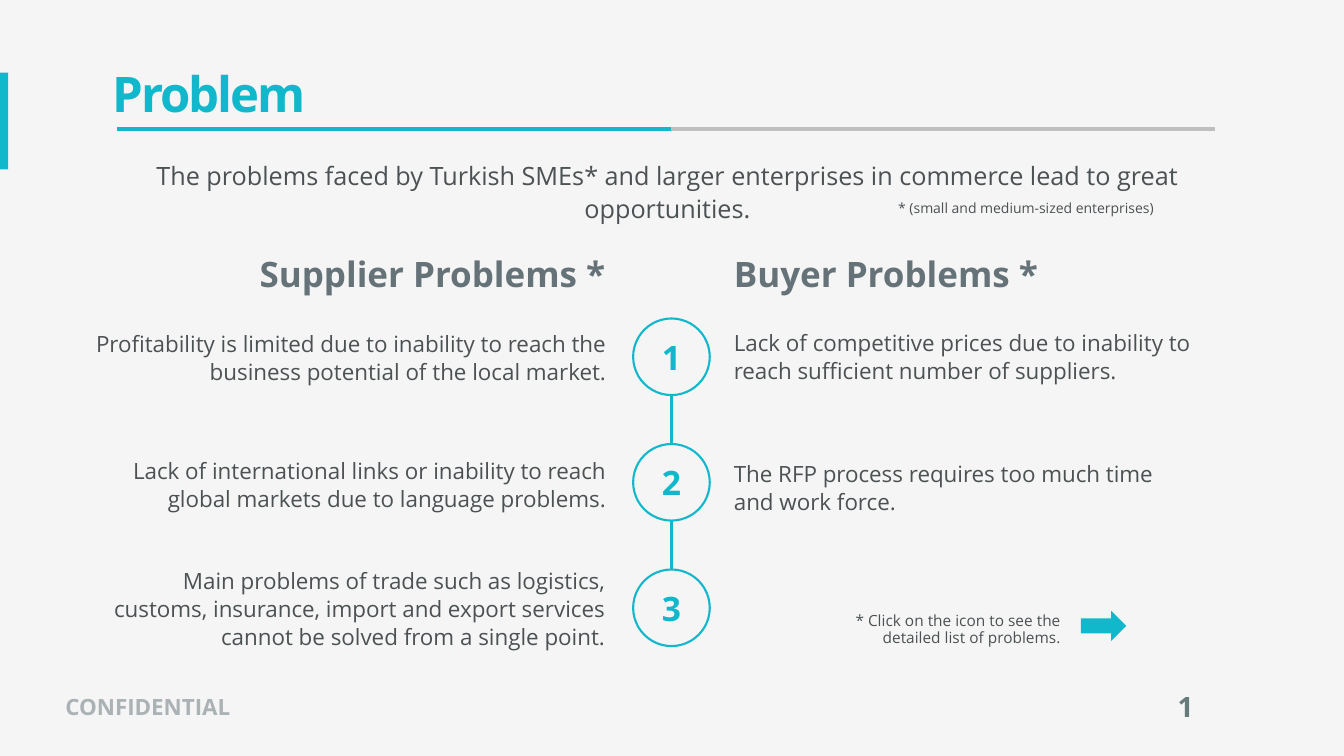
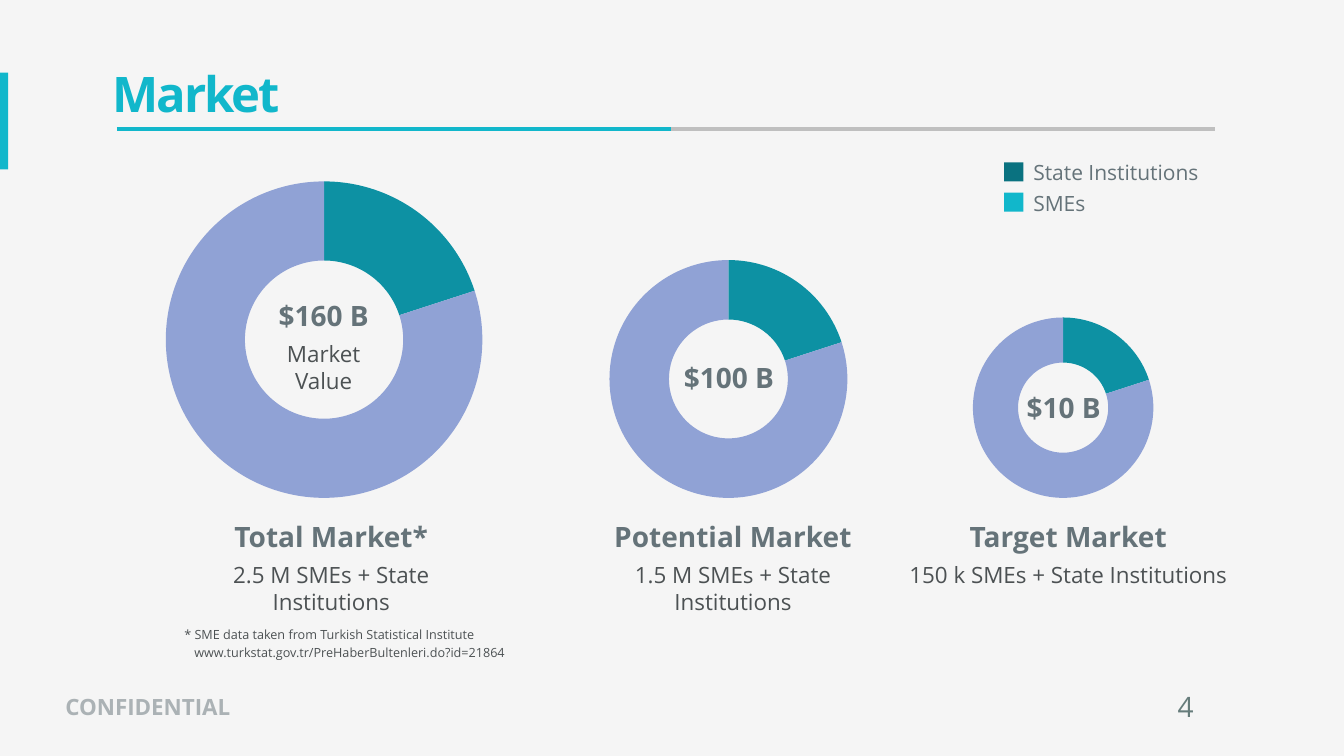
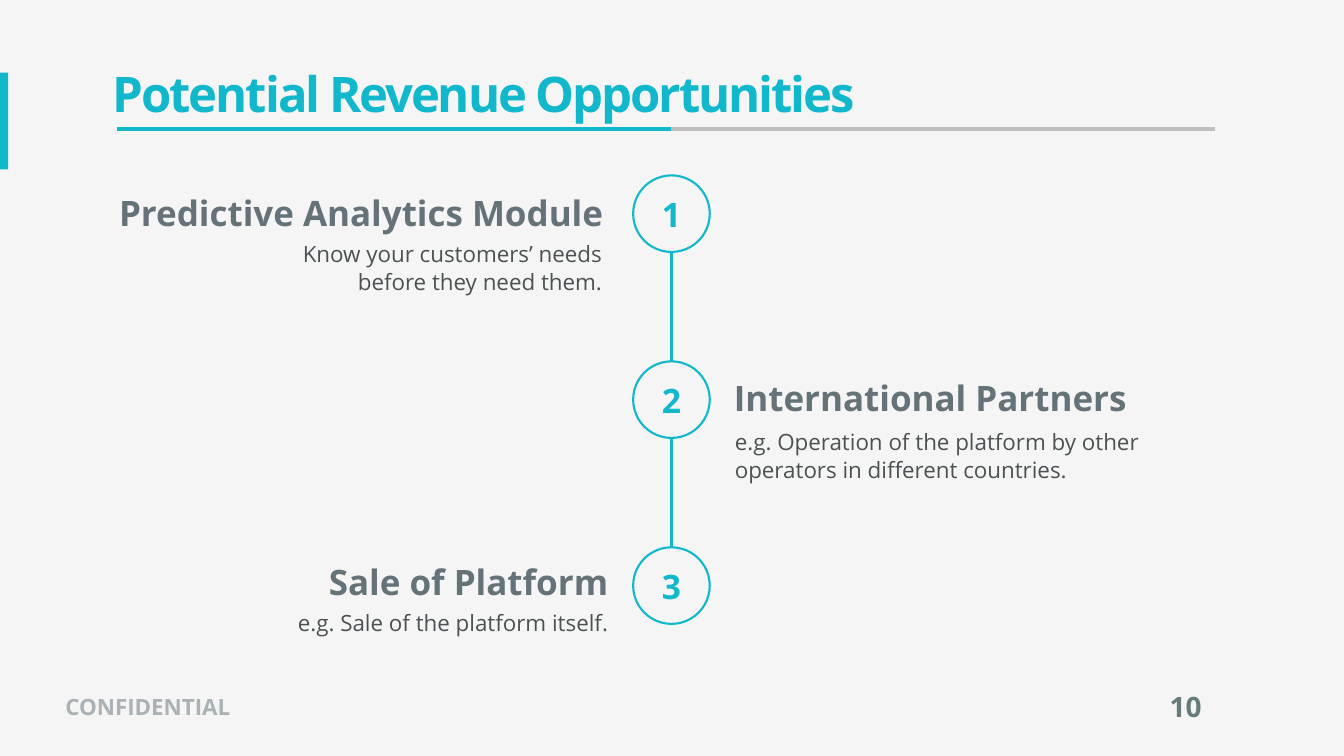
from lxml import etree
from pptx import Presentation
from pptx import util as u
from pptx.chart.data import CategoryChartData
from pptx.dml.color import RGBColor
from pptx.enum import chart as ch, shapes, text
from pptx.oxml import ns

Inches, Pt = u.Inches, u.Pt
FONT = "Open Sans"

PAPER = RGBColor(0xF5, 0xF5, 0xF5)
CYAN = RGBColor(0x11, 0xB7, 0xCB)
DARK_TEAL = RGBColor(0x0A, 0x72, 0x80)
TEAL = RGBColor(0x0D, 0x91, 0xA3)
PERIWINKLE = RGBColor(0x90, 0xA2, 0xD5)
RULE_GREY = RGBColor(0xBF, 0xBF, 0xBF)
HEADING = RGBColor(0x65, 0x73, 0x79)
BODY = RGBColor(0x4C, 0x51, 0x53)
FOOTER = RGBColor(0xAB, 0xB2, 0xB5)
PAGE_NO = RGBColor(0x66, 0x7C, 0x7B)

LEFT, CENTER, RIGHT = (text.PP_ALIGN.LEFT, text.PP_ALIGN.CENTER,
                       text.PP_ALIGN.RIGHT)
TOP, MIDDLE = text.MSO_ANCHOR.TOP, text.MSO_ANCHOR.MIDDLE

CIRCLE = 0.76
CIRCLE_LEFT = 6.28


def inches(*values):
    return [Inches(v) for v in values]


def style(p, size, color, bold=False, align=LEFT, spacing=None):
    p.alignment = align
    if spacing:
        p.line_spacing = spacing
    for r in p.runs:
        r.font.name = FONT
        r.font.size = Pt(size)
        r.font.bold = bold
        r.font.color.rgb = color


def add_text(s, box, words, size, color, bold=False, align=LEFT,
             anchor=TOP, spacing=None, wrap=True):
    tf = s.shapes.add_textbox(*inches(*box)).text_frame
    tf.word_wrap = wrap
    tf.vertical_anchor = anchor
    tf.text = words
    style(tf.paragraphs[0], size, color, bold, align, spacing)
    return tf


def add_heading(s, box, words, align=LEFT):
    add_text(s, box, words, 25, HEADING, True, align, wrap=False)


def add_body(s, box, words, align=LEFT):
    add_text(s, box, words, 16, BODY, False, align, MIDDLE, Pt(20))


def add_caption(s, box, heading, detail=None):
    """Centred bold line, with an optional plain line below it."""
    tf = add_text(s, box, heading, 20, HEADING, True, CENTER)
    if detail:
        p = tf.add_paragraph()
        p.text = detail
        p.space_before = Pt(6)
        style(p, 16, BODY, align=CENTER)


def add_block(s, kind, box, fill):
    sp = s.shapes.add_shape(kind, *inches(*box))
    sp.shadow.inherit = False
    sp.fill.solid()
    sp.fill.fore_color.rgb = fill
    sp.line.fill.background()
    return sp


def add_line(s, start, end, color, width):
    line = s.shapes.add_connector(shapes.MSO_CONNECTOR.STRAIGHT,
                                  *inches(*start, *end))
    line.line.color.rgb = color
    line.line.width = Pt(width)
    etree.SubElement(line.element.spPr, ns.qn("a:effectLst"))


def add_timeline(s, top, pitch, count=3):
    """Numbered circles on a vertical line."""
    x = CIRCLE_LEFT + CIRCLE / 2
    middle = top + CIRCLE / 2
    add_line(s, (x, middle), (x, middle + pitch * (count - 1)), CYAN, 1.5)
    for i in range(count):
        sp = add_block(s, shapes.MSO_SHAPE.OVAL,
                       (CIRCLE_LEFT, top + i * pitch, CIRCLE, CIRCLE), PAPER)
        sp.line.color.rgb = CYAN
        sp.line.width = Pt(1.5)
        tf = sp.text_frame
        tf.margin_left = tf.margin_right = 0
        tf.margin_top = tf.margin_bottom = 0
        tf.vertical_anchor = MIDDLE
        tf.text = str(i + 1)
        style(tf.paragraphs[0], 24, CYAN, True, CENTER)


def add_doughnut(s, left, top, width, height):
    data = CategoryChartData()
    data.categories = ["1", "2"]
    data.add_series("Series 1", (20, 80))
    chart = s.shapes.add_chart(ch.XL_CHART_TYPE.DOUGHNUT,
                               *inches(left, top, width, height), data).chart
    chart.has_legend = False
    chart.has_title = False
    chart.font.name = "Calibri"
    chart.font.size = Pt(10)
    chart.font.color.rgb = RGBColor(0, 0, 0)
    plot = chart.plots[0]
    plot.vary_by_categories = True
    for i, color in enumerate((TEAL, PERIWINKLE)):
        fill = plot.series[0].points[i].format.fill
        fill.solid()
        fill.fore_color.rgb = color
    center_plot(chart, width, height, height - 0.28)


def center_plot(chart, width, height, diameter):
    area = chart.element.xpath("c:chart/c:plotArea")[0]
    for old in area.findall(ns.qn("c:layout")):
        area.remove(old)
    layout = etree.Element(ns.qn("c:layout"))
    area.insert(0, layout)
    manual = etree.SubElement(layout, ns.qn("c:manualLayout"))
    w, h = diameter / width, diameter / height
    settings = (("layoutTarget", "inner"), ("xMode", "edge"),
                ("yMode", "edge"), ("x", (1 - w) / 2), ("y", (1 - h) / 2),
                ("w", w), ("h", h))
    for tag, value in settings:
        etree.SubElement(manual, ns.qn("c:" + tag)).set("val", str(value))


def add_slide(prs, title, number, bold_number=True):
    """Slide with the shared background, title, rules and footer."""
    s = prs.slides.add_slide(prs.slide_layouts[6])
    s.background.fill.solid()
    s.background.fill.fore_color.rgb = PAPER
    add_block(s, shapes.MSO_SHAPE.RECTANGLE, (0, 0.72, 0.08, 0.96), CYAN)
    add_line(s, (6.25, 1.28), (12.05, 1.28), RULE_GREY, 2.5)
    add_line(s, (1.16, 1.28), (6.66, 1.28), CYAN, 2.5)
    tf = add_text(s, (1.02, 0.23, 11.5, 1.45), title, 35, CYAN, True,
                  anchor=MIDDLE, spacing=0.9)
    tf.paragraphs[0].runs[0].font._element.set("spc", "-150")
    add_text(s, (0.55, 6.71, 1.93, 0.58), "CONFIDENTIAL", 16, FOOTER, True,
             anchor=MIDDLE, spacing=Pt(20))
    add_text(s, (11.23, 6.74, 1.06, 0.58), str(number), 20, PAGE_NO,
             bold_number, CENTER, MIDDLE, Pt(20))
    return s


def problem_slide(prs):
    s = add_slide(prs, "Problem", 1)
    add_text(s, (1.41, 1.62, 10.42, 0.54),
             "The problems faced by Turkish SMEs* and larger enterprises in "
             "commerce lead to great opportunities.",
             18, BODY, align=CENTER, anchor=MIDDLE, spacing=1.1)
    add_text(s, (8.81, 1.93, 2.85, 0.27),
             "* (small and medium-sized enterprises)", 10, BODY, wrap=False)
    add_timeline(s, 3.16, 1.245)

    add_heading(s, (2.43, 2.46, 3.67, 0.52), "Supplier Problems *", RIGHT)
    add_body(s, (0.77, 2.84, 5.34, 1.41),
             "Profitability is limited due to inability to reach the "
             "business potential of the local market.", RIGHT)
    add_body(s, (0.77, 4.39, 5.34, 0.83),
             "Lack of international links or inability to reach global "
             "markets due to language problems.", RIGHT)
    add_body(s, (0.82, 5.5, 5.28, 1.06),
             "Main problems of trade such as logistics, customs, insurance, "
             "import and export services cannot be solved from a single "
             "point.", RIGHT)

    add_heading(s, (7.18, 2.46, 3.25, 0.52), "Buyer Problems *")
    add_body(s, (7.18, 3.09, 5.23, 0.88),
             "Lack of competitive prices due to inability to reach "
             "sufficient number of suppliers.")
    add_body(s, (7.18, 4.32, 4.62, 1.03),
             "The RFP process requires too much time and work force.")
    add_text(s, (8.15, 5.91, 2.47, 0.67),
             "* Click on the icon to see the detailed list of problems.",
             11, BODY, align=RIGHT, anchor=MIDDLE, spacing=Pt(12))
    add_block(s, shapes.MSO_SHAPE.RIGHT_ARROW, (10.72, 6.06, 0.45, 0.3), CYAN)


def market_slide(prs):
    s = add_slide(prs, "Market", 4, bold_number=False)
    for box in ((1.02, 1.66, 4.39, 3.42), (5.53, 2.44, 3.39, 2.64),
                (9.21, 3.01, 2.67, 2.07)):
        add_doughnut(s, *box)

    add_caption(s, (2.52, 2.91, 1.38, 1.06), "$160 B", "Market Value")
    add_caption(s, (6.54, 3.53, 1.38, 0.44), "$100 B")
    add_caption(s, (9.86, 3.83, 1.38, 0.44), "$10 B")
    for left, width, market, size in (
            (1.63, 3.31, "Total Market*", "2.5 M SMEs + State Institutions"),
            (5.63, 3.28, "Potential Market",
             "1.5 M SMEs + State Institutions"),
            (8.92, 3.35, "Target Market", "150 k SMEs + State Institutions")):
        add_caption(s, (left, 5.1, width, 1.06), market, size)

    for i, (label, color) in enumerate((("State Institutions", DARK_TEAL),
                                        ("SMEs", CYAN))):
        add_block(s, shapes.MSO_SHAPE.RECTANGLE,
                  (9.96, 1.61 + 0.3 * i, 0.19, 0.19), color)
        add_text(s, (10.15, 1.53 + 0.31 * i, 2.04, 0.35), label, 15, HEADING)

    add_text(s, (1.73, 6.17, 4.06, 0.25),
             "* SME data taken from Turkish Statistical Institute", 9, BODY)
    add_text(s, (1.83, 6.35, 3.36, 0.25),
             "www.turkstat.gov.tr/PreHaberBultenleri.do?id=21864", 9, BODY)


def revenue_slide(prs):
    s = add_slide(prs, "Potential Revenue Opportunities", 10)
    add_timeline(s, 1.74, 1.845)
    add_heading(s, (1.02, 1.85, 5.06, 0.52), "Predictive Analytics Module",
                RIGHT)
    add_body(s, (2.32, 2.18, 3.75, 0.94),
             "Know your customers’ needs before they need them.", RIGHT)
    add_heading(s, (7.18, 3.69, 4.14, 0.52), "International Partners")
    add_body(s, (7.19, 3.56, 4.93, 1.9),
             "e.g. Operation of the platform by other operators in "
             "different countries.")
    add_heading(s, (3.13, 5.51, 3, 0.52), "Sale of Platform", RIGHT)
    add_body(s, (2.44, 5.7, 3.69, 0.95), "e.g. Sale of the platform itself.",
             RIGHT)


def main():
    prs = Presentation()
    prs.slide_width, prs.slide_height = inches(13.33, 7.5)
    problem_slide(prs)
    market_slide(prs)
    revenue_slide(prs)
    prs.save("out.pptx")


if __name__ == "__main__":
    main()
